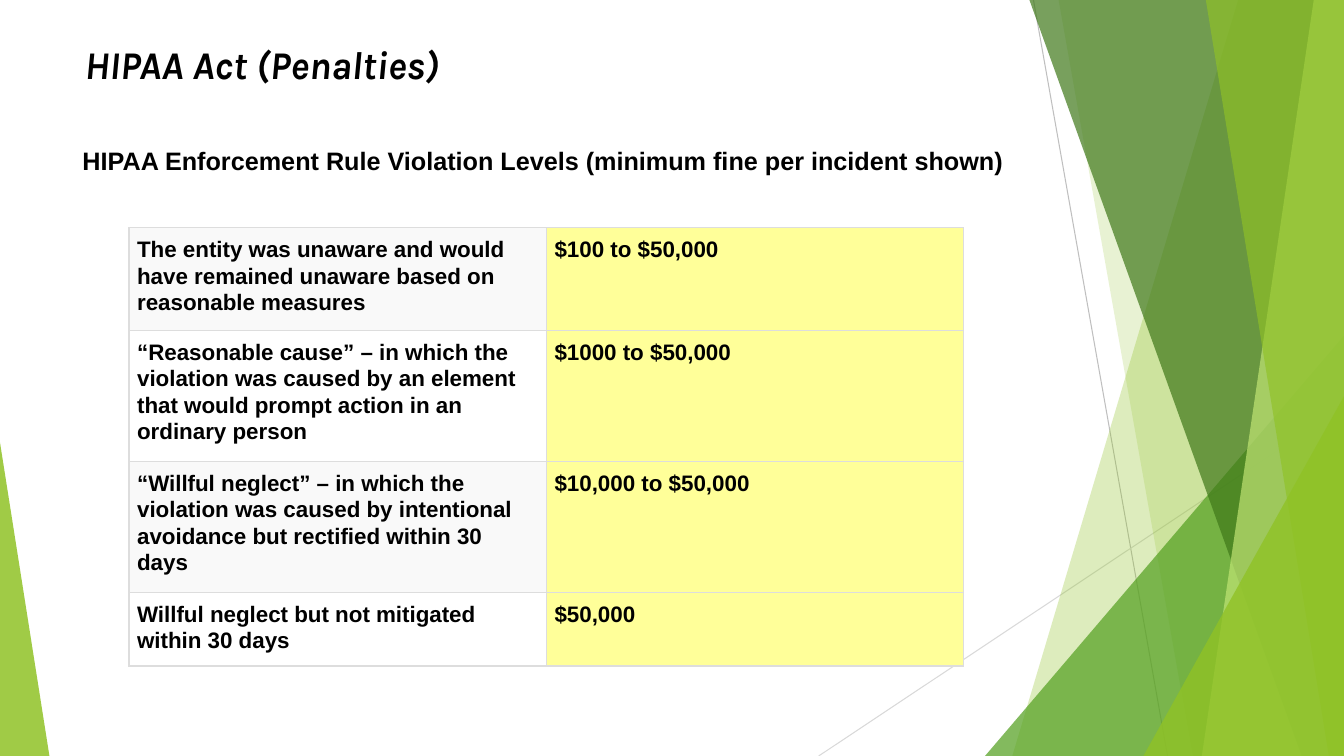
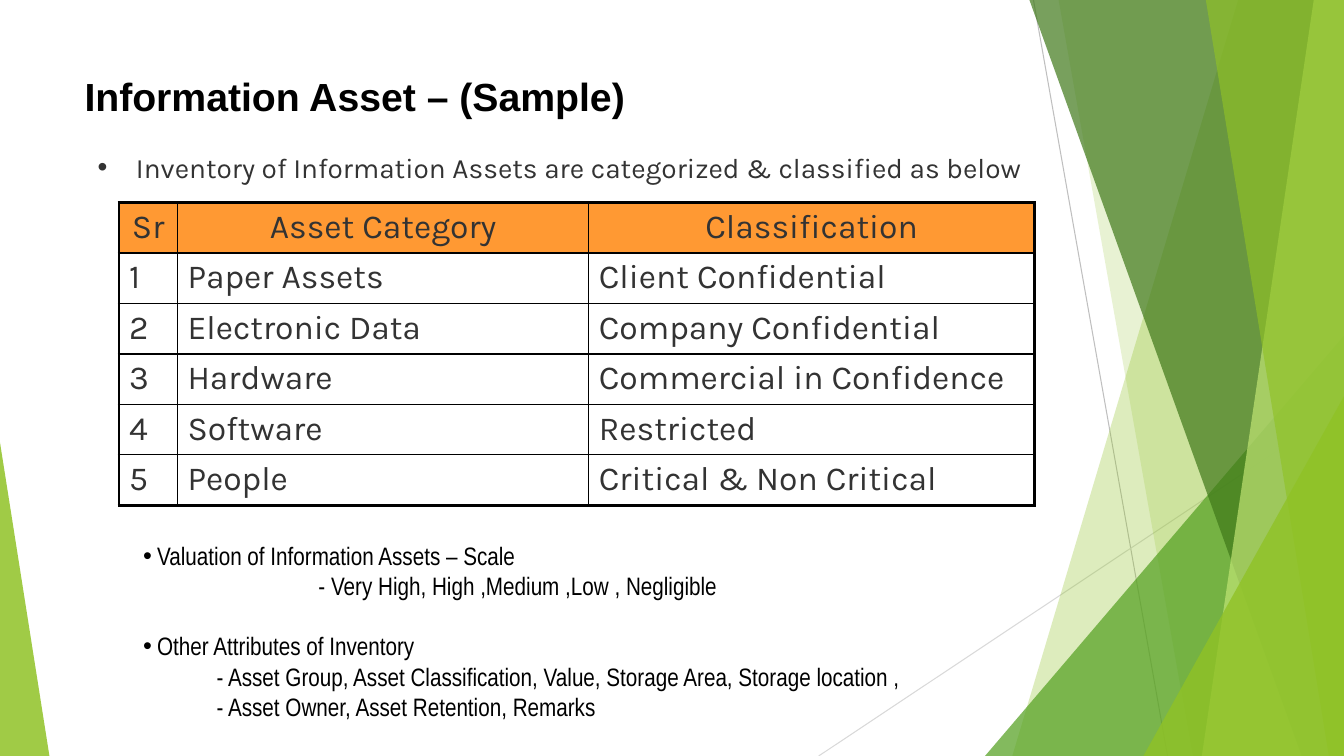
from dataclasses import dataclass

from lxml.etree import SubElement
from pptx import Presentation
from pptx.dml.color import RGBColor
from pptx.enum.shapes import MSO_CONNECTOR as Connector, MSO_SHAPE as Shape
from pptx.enum.text import MSO_ANCHOR as Anchor, PP_ALIGN as Align
from pptx.oxml.ns import qn
from pptx.util import Emu, Pt

EMU_PER_PX = 9144
SLIDE_WIDTH, SLIDE_HEIGHT = 1333, 750


@dataclass(frozen=True)
class Theme:
    black: str = "000000"
    body: str = "333333"
    white: str = "FFFFFF"
    stripe: str = "F9F9F9"
    penalty: str = "FFFF99"
    header: str = "FF9933"
    grid: str = "DDDDDD"
    ray_dark: str = "BFBFBF"
    ray_light: str = "D9D9D9"
    lime: str = "90C226"
    pale_lime: str = "C0E474"
    green: str = "54A021"
    forest: str = "3F7819"
    sans: str = "Arial"
    narrow: str = "Arial Narrow"
    display: str = "Karla"
    title_size: int = 28
    table_size: int = 24
    lead_size: int = 20
    text_size: int = 18
    cell_size: int = 16


THEME = Theme()

RAYS = [
    ((1025, 0), (1158, SLIDE_HEIGHT), THEME.ray_dark),
    ((SLIDE_WIDTH, 403), (812, SLIDE_HEIGHT), THEME.ray_light),
]
RIGHT_TRIANGLE, LEFT_TRIANGLE = 1, 0


def px(value):
    return Emu(value * EMU_PER_PX)


def apply(target, values):
    for name, value in values.items():
        setattr(target, name, value)


def font_style(name, size, color=THEME.black, **flags):
    return {"name": name, "size": Pt(size), "color": color, **flags}


def write(paragraph, text, style, **layout):
    run = paragraph.add_run()
    run.text = text
    apply(run.font, {key: value for key, value in style.items() if key != "color"})
    run.font.color.rgb = RGBColor.from_string(style["color"])
    apply(paragraph, layout)


def indent(paragraph, left, bullet=False):
    properties = paragraph._p.get_or_add_pPr()
    properties.set("marL", str(px(left)))
    properties.set("indent", str(px(-left if bullet else 0)))
    if bullet:
        SubElement(properties, qn("a:buFont"), typeface=THEME.sans)
        SubElement(properties, qn("a:buChar"), char="•")


def add_text(slide, left, top, width, height, **frame_format):
    frame = slide.shapes.add_textbox(*map(px, (left, top, width, height))).text_frame
    apply(frame, {"word_wrap": True, **frame_format})
    return frame


def add_title(slide, top, text, font, **flags):
    frame = add_text(slide, 74, top, 940, 144)
    write(frame.paragraphs[0], text, font_style(font, THEME.title_size, bold=True, **flags))


def paint(shape, color, opacity):
    shape.shadow.inherit = False
    shape.fill.solid()
    shape.fill.fore_color.rgb = RGBColor.from_string(color)
    shape.line.fill.background()
    color_node = shape.element.spPr.find(qn("a:solidFill")).find(qn("a:srgbClr"))
    SubElement(color_node, qn("a:alpha"), val=str(opacity * 1000))


def add_ray(slide, start, end, color):
    ray = slide.shapes.add_connector(Connector.STRAIGHT, *map(px, start + end))
    ray.line.color.rgb = RGBColor.from_string(color)
    ray.line.width = Pt(0.75)
    SubElement(ray.element.spPr, qn("a:effectLst"))


def add_facet(slide, top_x, bottom_x, color, opacity):
    builder = slide.shapes.build_freeform(top_x, 0, scale=EMU_PER_PX)
    builder.add_line_segments(
        [(SLIDE_WIDTH, 0), (SLIDE_WIDTH, SLIDE_HEIGHT), (bottom_x, SLIDE_HEIGHT)], close=True
    )
    paint(builder.convert_to_shape(), color, opacity)


def add_wedge(slide, left, top, width, apex, color, opacity):
    wedge = slide.shapes.add_shape(
        Shape.ISOSCELES_TRIANGLE, *map(px, (left, top, width, SLIDE_HEIGHT - top))
    )
    wedge.adjustments[0] = apex
    paint(wedge, color, opacity)


DECORATION = [
    (add_facet, 1228, 1004, THEME.lime, 30),
    (add_facet, 1050, 1183, THEME.lime, 20),
    (add_wedge, 977, 333, 356, RIGHT_TRIANGLE, THEME.green, 72),
    (add_facet, 1021, 1291, THEME.forest, 70),
    (add_facet, 1303, 1192, THEME.pale_lime, 70),
    (add_facet, 1196, 1318, THEME.lime, 65),
    (add_wedge, 1134, 393, 199, RIGHT_TRIANGLE, THEME.lime, 80),
    (add_wedge, 0, 439, 49, LEFT_TRIANGLE, THEME.lime, 85),
]


def add_slide(presentation):
    slide = presentation.slides.add_slide(presentation.slide_layouts[6])
    for ray in RAYS:
        add_ray(slide, *ray)
    for add_piece, *values in DECORATION:
        add_piece(slide, *values)
    return slide


def set_borders(cell, color, widths):
    properties = cell._tc.get_or_add_tcPr()
    for position, (side, width) in enumerate(zip("LRTB", widths)):
        line = SubElement(properties, qn(f"a:ln{side}"), w=str(Pt(width)))
        SubElement(SubElement(line, qn("a:solidFill")), qn("a:srgbClr"), val=color)
        properties.insert(position, line)


def add_grid(slide, left, top, columns, heights, rows, style, fill_for, border,
             outer=1, cell_format=None, layout_for=lambda row: {}):
    table = slide.shapes.add_table(
        len(rows), len(columns), *map(px, (left, top, sum(columns), sum(heights)))
    ).table
    apply(table, {"first_row": False, "horz_banding": False})
    for column, width in zip(table.columns, columns):
        column.width = px(width)
    for row, height in zip(table.rows, heights):
        row.height = px(height)
    last_row, last_column = len(rows) - 1, len(columns) - 1
    for r, texts in enumerate(rows):
        for c, text in enumerate(texts):
            cell = table.cell(r, c)
            apply(cell, cell_format or {})
            cell.fill.solid()
            cell.fill.fore_color.rgb = RGBColor.from_string(fill_for(r, c))
            edges = (c == 0, c == last_column, r == 0, r == last_row)
            set_borders(cell, border, [outer if edge else 1 for edge in edges])
            write(cell.text_frame.paragraphs[0], text, style, **layout_for(r))


def penalty_fill(row, column):
    if column == 1:
        return THEME.penalty
    return THEME.white if row % 2 else THEME.stripe


def build_penalties(presentation):
    slide = add_slide(presentation)
    add_title(slide, 35, "HIPAA Act (Penalties)", THEME.display, italic=True)
    rows = [
        ("The entity was unaware and would have remained unaware based on reasonable measures",
         "$100 to $50,000"),
        ("“Reasonable cause” – in which the violation was caused by an element "
         "that would prompt action in an ordinary person", "$1000 to $50,000"),
        ("“Willful neglect” – in which the violation was caused by intentional "
         "avoidance but rectified within 30 days", "$10,000 to $50,000"),
        ("Willful neglect but not mitigated within 30 days", "$50,000"),
    ]
    margins = {f"margin_{side}": px(8) for side in ("left", "right", "top", "bottom")}
    add_grid(
        slide, 128, 226, [414] * 2, [96, 122, 122, 69], rows,
        font_style(THEME.sans, THEME.cell_size, bold=True), penalty_fill, THEME.grid,
        cell_format=margins, layout_for=lambda row: {"line_spacing": 1.07},
    )
    caption = add_text(slide, 72, 139, 943, 40, word_wrap=False, vertical_anchor=Anchor.MIDDLE)
    write(caption.paragraphs[0],
          "HIPAA Enforcement Rule Violation Levels (minimum fine per incident shown)",
          font_style(THEME.sans, THEME.text_size, bold=True))


def build_assets(presentation):
    slide = add_slide(presentation)
    add_title(slide, 67, "Information Asset – (Sample)", THEME.sans)
    lead = add_text(slide, 87, 144, 958, 45).paragraphs[0]
    write(lead, "Inventory of Information Assets are categorized & classified as below",
          font_style(THEME.display, THEME.lead_size, THEME.body))
    indent(lead, 38, bullet=True)
    rows = [
        ("Sr", "Asset Category", "Classification"),
        ("1", "Paper Assets", "Client Confidential"),
        ("2", "Electronic Data", "Company Confidential"),
        ("3", "Hardware", "Commercial in Confidence"),
        ("4", "Software", "Restricted"),
        ("5", "People", "Critical & Non Critical"),
    ]
    add_grid(
        slide, 118, 201, [58, 408, 442], [49] * len(rows), rows,
        font_style(THEME.display, THEME.table_size, THEME.body),
        lambda row, column: THEME.white if row else THEME.header, THEME.black, outer=2.25,
        layout_for=lambda row: {"alignment": Align.LEFT if row else Align.CENTER},
    )
    notes = [
        ("Valuation of Information Assets – Scale", 14, True, 0),
        ("- Very High, High ,Medium ,Low , Negligible", 174, False, 0),
        ("Other Attributes of Inventory", 14, True, 21.5),
        ("- Asset Group, Asset Classification, Value, Storage Area, Storage location ,",
         73, False, 0),
        ("- Asset Owner, Asset Retention, Remarks", 73, False, 0),
    ]
    frame = add_text(slide, 132, 531, 925, 190)
    for index, (text, left, bullet, gap) in enumerate(notes):
        paragraph = frame.add_paragraph() if index else frame.paragraphs[0]
        write(paragraph, text, font_style(THEME.narrow, THEME.text_size), space_before=Pt(gap))
        indent(paragraph, left, bullet)


def main():
    presentation = Presentation()
    apply(presentation, {"slide_width": px(SLIDE_WIDTH), "slide_height": px(SLIDE_HEIGHT)})
    build_penalties(presentation)
    build_assets(presentation)
    presentation.save("out.pptx")


if __name__ == "__main__":
    main()
